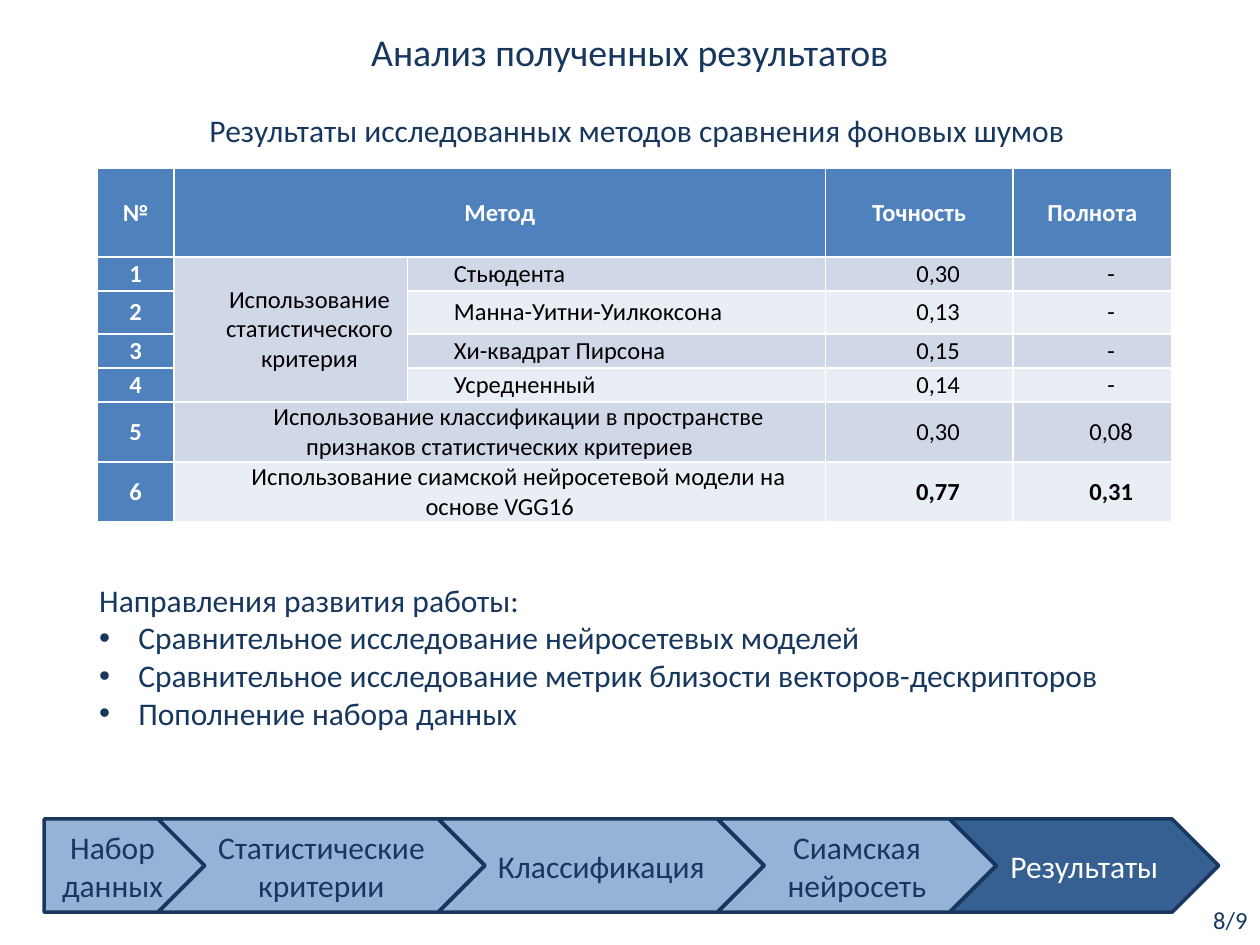
"""Build the slide that sums up the results of the compared methods."""
from lxml.etree import SubElement
from pptx import Presentation
from pptx.dml.color import RGBColor
from pptx.enum.shapes import MSO_SHAPE as Preset
from pptx.enum.text import MSO_ANCHOR as Anchor, PP_ALIGN as Align
from pptx.oxml.ns import qn
from pptx.util import Cm, Pt

FONT = "Calibri"
COLORS = {
    "navy": "17375E", "step": "95B3D7", "current": "376092", "head": "4F81BD",
    "odd": "D0D8E8", "even": "E9EDF4", "white": "FFFFFF", "black": "000000",
}
TITLE = "Анализ полученных результатов"
SUBTITLE = "Результаты исследованных методов сравнения фоновых шумов"
PAGE_NUMBER = "8/9"
DIRECTIONS_HEADING = "Направления развития работы:"
DIRECTIONS = [
    "Сравнительное исследование нейросетевых моделей",
    "Сравнительное исследование метрик близости векторов-дескрипторов",
    "Пополнение набора данных",
]
STEPS = [
    ("Набор данных", 3.23), ("Статистические критерии", 6.58),
    ("Классификация", 6.56), ("Сиамская нейросеть", 5.61), ("Результаты", 5.42),
]
STEP_LEFT, STEP_TOP, STEP_HEIGHT, STEP_OVERLAP = 0.89, 16.51, 1.88, 0.93

COLUMN_WIDTHS = [1.55, 4.7, 8.43, 3.78, 3.2]
ROW_HEIGHTS = [1.78, 0.69, 0.86, 0.69, 0.69, 1.21, 1.21]
ROWS = [
    ["№", "Метод", None, "Точность", "Полнота"],
    ["1", "Использование\nстатистического\nкритерия", "Стьюдента", "0,30", "-"],
    ["2", None, "Манна-Уитни-Уилкоксона", "0,13", "-"],
    ["3", None, "Хи-квадрат Пирсона", "0,15", "-"],
    ["4", None, "Усредненный", "0,14", "-"],
    ["5", "Использование классификации в пространстве признаков статистических критериев",
     None, "0,30", "0,08"],
    ["6", "Использование сиамской нейросетевой модели на основе VGG16",
     None, "0,77", "0,31"],
]
MERGES = [((0, 1), (0, 2)), ((1, 1), (4, 1)), ((5, 1), (5, 2)), ((6, 1), (6, 2))]


def rgb(name):
    """Return the named colour."""
    return RGBColor.from_string(COLORS[name])


def write(frame, lines, size=18, color="navy", bold=False, align=Align.LEFT,
          indent=0, bullets=False):
    """Append lines to a text frame, one paragraph each."""
    for line in lines:
        para = frame.paragraphs[-1]
        if para.runs:
            para = frame.add_paragraph()
        para.alignment = align
        span = para.add_run()
        span.text = line
        span.font.name, span.font.size, span.font.bold = FONT, Pt(size), bold
        span.font.color.rgb = rgb(color)
        props = para._p.get_or_add_pPr()
        props.set("indent", str(Cm(indent)))
        if bullets:
            props.set("marL", str(Cm(-indent)))
            SubElement(props, qn("a:buFont")).set("typeface", "Arial")
            SubElement(props, qn("a:buChar")).set("char", "•")


def add_text(page, left, top, width, height, anchor=Anchor.TOP):
    """Add a wrapping text box and return its frame."""
    frame = page.shapes.add_textbox(Cm(left), Cm(top), Cm(width), Cm(height)).text_frame
    frame.word_wrap = True
    frame.vertical_anchor = anchor
    return frame


def add_title(page):
    """Place and format the title."""
    title = page.shapes.title
    title.left, title.top, title.width, title.height = Cm(1.27), Cm(0.4), Cm(22.86), Cm(1.27)
    title.text_frame.vertical_anchor = Anchor.MIDDLE
    write(title.text_frame, [TITLE], size=21.6, align=Align.CENTER)


def add_results(page):
    """Add the table of methods with their scores."""
    table = page.shapes.add_table(
        len(ROWS), len(COLUMN_WIDTHS), Cm(1.96), Cm(3.4),
        Cm(sum(COLUMN_WIDTHS)), Cm(sum(ROW_HEIGHTS))).table
    table.first_col = True
    for column, width in zip(table.columns, COLUMN_WIDTHS):
        column.width = Cm(width)
    for row, height in zip(table.rows, ROW_HEIGHTS):
        row.height = Cm(height)
    for start, end in MERGES:
        table.cell(*start).merge(table.cell(*end))
    last = len(ROWS) - 1
    for r, values in enumerate(ROWS):
        for c, value in enumerate(values):
            cell = table.cell(r, c)
            heading = r == 0 or c == 0
            cell.fill.solid()
            cell.fill.fore_color.rgb = rgb("head" if heading else "odd" if r % 2 else "even")
            cell.vertical_anchor = Anchor.MIDDLE
            cell.margin_left = cell.margin_right = Cm(0.18)
            cell.margin_top = cell.margin_bottom = 0
            if value:
                write(cell.text_frame, value.split("\n"), size=14,
                      color="white" if heading else "black",
                      bold=heading or (r == last and c > 2),
                      align=Align.LEFT if c == 2 else Align.CENTER,
                      indent=0 if heading else 0.76)


def add_steps(page):
    """Add the chain of work stages with the last one highlighted."""
    left = STEP_LEFT
    for index, (label, width) in enumerate(STEPS):
        current = index == len(STEPS) - 1
        step = page.shapes.add_shape(
            Preset.CHEVRON if index else Preset.PENTAGON,
            Cm(left), Cm(STEP_TOP), Cm(width), Cm(STEP_HEIGHT))
        step.shadow.inherit = False
        step.fill.solid()
        step.fill.fore_color.rgb = rgb("current" if current else "step")
        step.line.color.rgb = rgb("navy")
        step.line.width = Pt(2)
        frame = step.text_frame
        frame.word_wrap = True
        frame.vertical_anchor = Anchor.MIDDLE
        frame.margin_left = frame.margin_right = Cm(0.2)
        write(frame, [label], color="white" if current else "navy", align=Align.CENTER)
        left += width - STEP_OVERLAP


def main():
    """Build and save the deck."""
    deck = Presentation()
    deck.slide_width, deck.slide_height = Cm(25.4), Cm(19.05)
    page = deck.slides.add_slide(deck.slide_layouts[5])
    add_title(page)
    write(add_text(page, 17.35, 18.03, 8.05, 1.02, Anchor.MIDDLE), [PAGE_NUMBER],
          size=14, align=Align.RIGHT)
    add_steps(page)
    add_results(page)
    write(add_text(page, 3.8, 2.11, 18.08, 1.02), [SUBTITLE], align=Align.CENTER)
    directions = add_text(page, 1.75, 11.58, 21.87, 4.11)
    write(directions, [DIRECTIONS_HEADING])
    write(directions, DIRECTIONS, indent=-0.79, bullets=True)
    deck.save("out.pptx")


if __name__ == "__main__":
    main()
